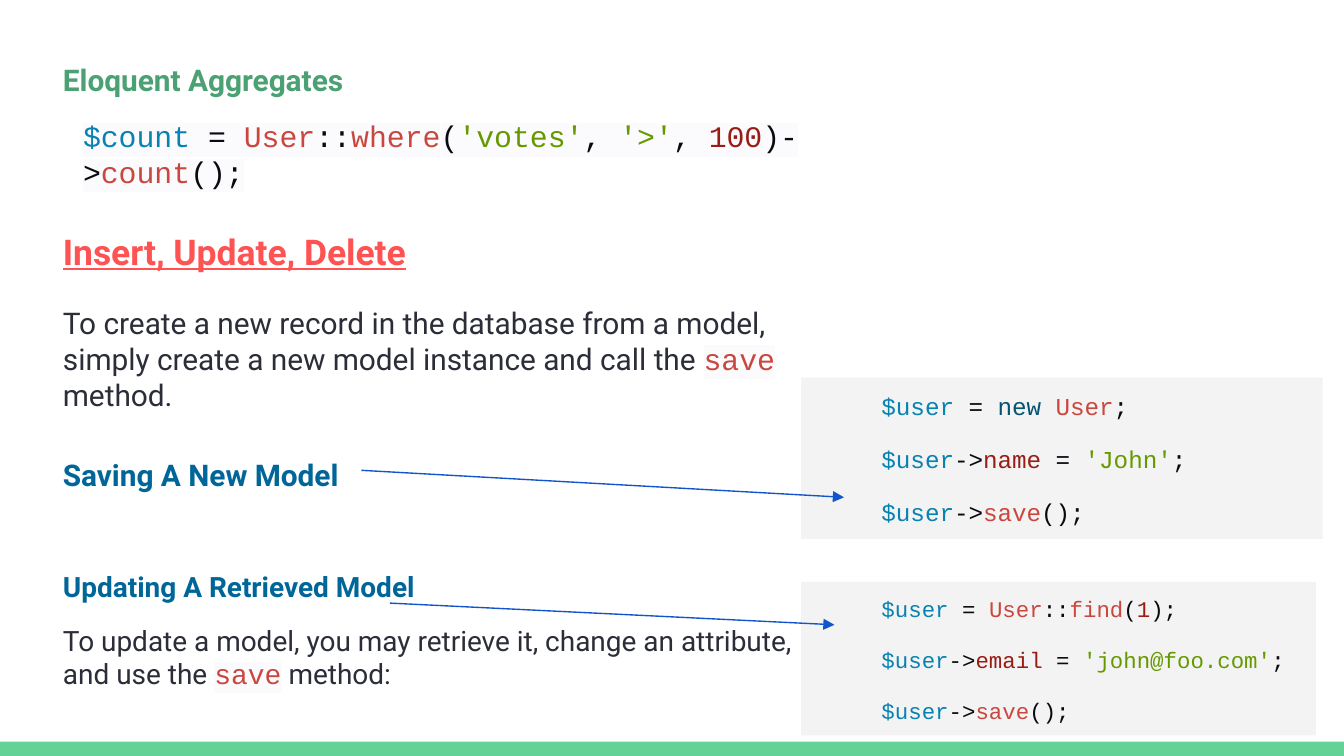
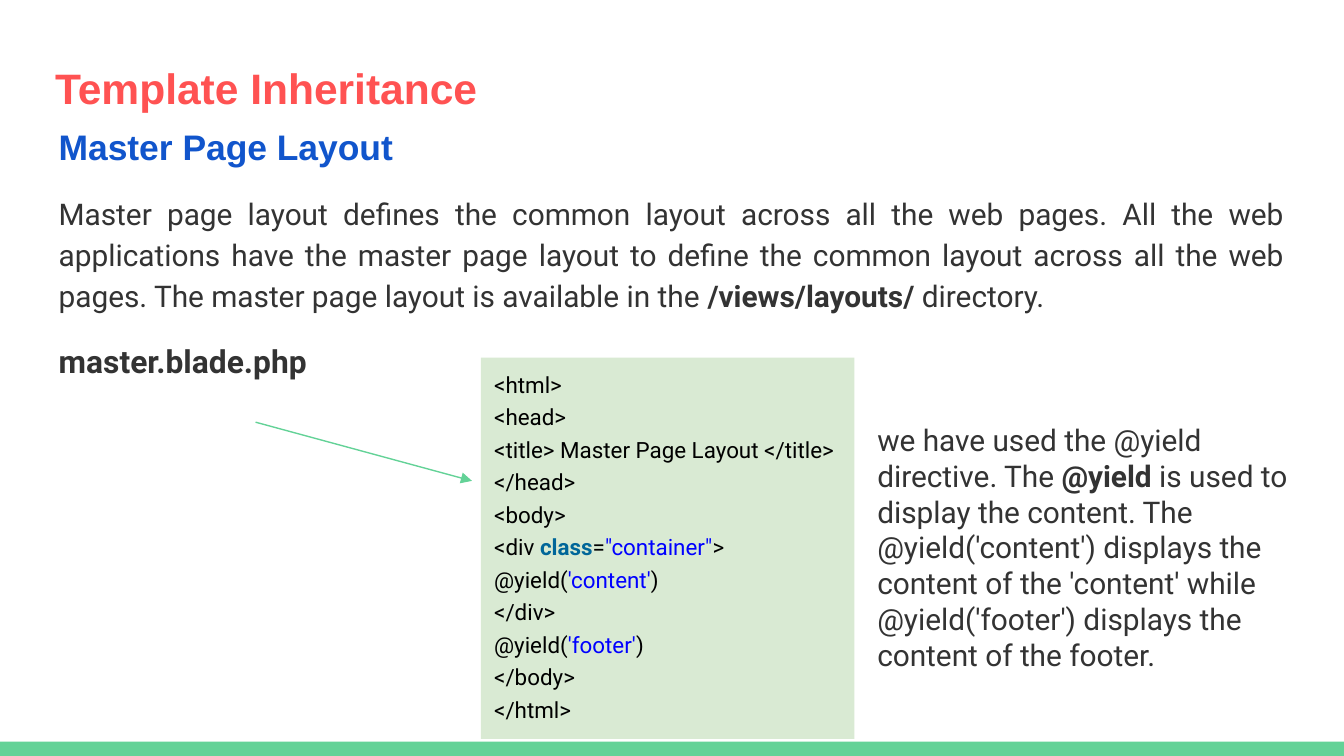
import pptx
import pptx.dml.color
import pptx.enum.shapes
import pptx.enum.text
import pptx.oxml.ns
import pptx.util
from lxml import etree

Cm, Pt = pptx.util.Cm, pptx.util.Pt
ALIGN = pptx.enum.text.PP_ALIGN
RECTANGLE = pptx.enum.shapes.MSO_SHAPE.RECTANGLE
qn = pptx.oxml.ns.qn

GREEN, CORAL, BLUE, TEAL = "63D297", "FF5252", "1155CC", "006699"
INK, GREY, BLACK, CODE_BACK = "2B2E38", "333333", "000000", "FBFBFD"
PANEL_GREY, PANEL_GREEN = "F3F3F3", "D9EAD3"

# Run styles for the code samples
PLAIN = {"color": "090910"}
VARIABLE = {"color": "0782B1"}
KEYWORD = {"color": "055472"}
CALL = {"color": "CA473F"}
STRING = {"color": "669900"}
VALUE = {"color": "981D15"}
HTML_STRING = {"color": "0000FF"}
INLINE_CODE = {"color": "CA473F", "font": "Courier New", "highlight": CODE_BACK}
BOLD = {"bold": True}


def rgb(hex_color):
    return pptx.dml.color.RGBColor.from_string(hex_color)


def write(frame, paragraphs, **defaults):
    """Fill a frame with (runs, style) paragraphs; run styles override paragraph styles."""
    frame.word_wrap = True
    frame.vertical_anchor = pptx.enum.text.MSO_ANCHOR.TOP
    frame.margin_left = frame.margin_right = Cm(0.25)
    frame.margin_top = frame.margin_bottom = Cm(0.25)
    for index, (runs, own_style) in enumerate(paragraphs):
        style = {**defaults, **own_style}
        paragraph = frame.paragraphs[0] if index == 0 else frame.add_paragraph()
        paragraph.alignment = style.get("align", ALIGN.LEFT)
        paragraph.line_spacing = style.get("line", 1.0)
        paragraph.space_before = Pt(style.get("before", 0) if index else 0)
        paragraph.space_after = Pt(0)
        if "indent" in style:
            paragraph._p.get_or_add_pPr().set("marL", str(Cm(style["indent"])))
        for text, run_style in runs:
            look = {**style, **run_style}
            run = paragraph.add_run()
            run.text = text
            run.font.size = Pt(look["size"])
            run.font.bold = look.get("bold", False)
            run.font.underline = look.get("underline", False)
            run.font.color.rgb = rgb(look["color"])
            run.font.name = look["font"]
            if "highlight" in look:
                highlight = etree.Element(qn("a:highlight"))
                etree.SubElement(highlight, qn("a:srgbClr"), val=look["highlight"])
                run._r.rPr.find(qn("a:solidFill")).addnext(highlight)


prs = pptx.Presentation()
prs.slide_width, prs.slide_height = Cm(25.4), Cm(14.29)
title_only, blank = prs.slide_layouts[5], prs.slide_layouts[6]
models = prs.slides.add_slide(blank)
templates = prs.slides.add_slide(title_only)

for slide in (models, templates):
    band = slide.shapes.add_shape(RECTANGLE, 0, Cm(14.02), prs.slide_width, Cm(0.27))
    band.shadow.inherit = False
    band.fill.solid()
    band.fill.fore_color.rgb = rgb(GREEN)
    band.line.fill.background()

# Slide 1: Eloquent models
lesson = models.shapes.add_textbox(Cm(0.94), Cm(0.91), Cm(14.73), Cm(12.67))
write(lesson.text_frame, [
    ([("Eloquent Aggregates", {})], {"color": "4BA173", "bold": True}),
    ([("$count", VARIABLE), (" = ", PLAIN), ("User", CALL), ("::", PLAIN),
      ("where", CALL), ("(", PLAIN), ("'votes'", STRING), (", ", PLAIN),
      ("'>'", STRING), (", ", PLAIN), ("100", VALUE), (")->", PLAIN),
      ("count", CALL), ("();", PLAIN)],
     {"font": "Courier New", "highlight": CODE_BACK, "indent": 0.38, "before": 11}),
    ([("Insert, Update, Delete", {})],
     {"size": 19, "color": CORAL, "bold": True, "underline": True, "before": 22}),
    ([("To create a new record in the database from a model, simply create "
       "a new model instance and call the ", {}),
      ("save", INLINE_CODE), (" method.", {})], {"before": 17}),
    ([("Saving A New Model", {})], {"color": TEAL, "bold": True, "before": 24}),
    ([("Updating A Retrieved Model", {})],
     {"size": 15, "color": TEAL, "bold": True, "before": 41}),
    ([("To update a model, you may retrieve it, change an attribute, "
       "and use the ", {}),
      ("save", INLINE_CODE), (" method:", {})], {"size": 15, "before": 11}),
], font="Roboto", size=16, color=INK)

save_call = [("$user", VARIABLE), ("->", PLAIN), ("save", CALL), ("();", PLAIN)]
update_code = [
    [("$user", VARIABLE), (" = ", PLAIN), ("User", CALL), ("::", PLAIN),
     ("find", CALL), ("(", PLAIN), ("1", VALUE), (");", PLAIN)],
    [("$user", VARIABLE), ("->", PLAIN), ("email", VALUE), (" = ", PLAIN),
     ("'john@foo.com'", STRING), (";", PLAIN)],
    save_call,
]
insert_code = [
    [("$user", VARIABLE), (" = ", PLAIN), ("new", KEYWORD), (" ", PLAIN),
     ("User", CALL), (";", PLAIN)],
    [("$user", VARIABLE), ("->", PLAIN), ("name", VALUE), (" = ", PLAIN),
     ("'John'", STRING), (";", PLAIN)],
    save_call,
]

# Slide 2: template inheritance
heading = templates.shapes.title
heading.left, heading.top, heading.width, heading.height = Cm(0.79), Cm(0.64), Cm(23.67), Cm(1.6)
write(heading.text_frame, [([("Template Inheritance", {})], {})],
      font="Arial", size=22.8, color=CORAL, bold=True, line=1.3, align=ALIGN.JUSTIFY)

layout_notes = templates.shapes.add_textbox(Cm(0.86), Cm(1.88), Cm(23.67), Cm(9.86))
write(layout_notes.text_frame, [
    ([("Master Page Layout", {})],
     {"font": "Arial", "size": 19, "color": BLUE, "bold": True, "line": 1.3}),
    ([("Master page layout defines the common layout across all the web pages. "
       "All the web applications have the master page layout to define the common "
       "layout across all the web pages. The master page layout is available in the ", {}),
      ("/views/layouts/", BOLD), (" directory.", {})], {"align": ALIGN.JUSTIFY}),
    ([("master.blade.php", BOLD)], {"size": 17}),
], font="Roboto", size=16, color=GREY, line=1.15, before=12)

master_code = [
    [("<html>", {})],
    [("<head>", {})],
    [("<title> Master Page Layout </title>", {})],
    [("</head>", {})],
    [("<body>", {})],
    [("<div ", {}), ("class", {"color": TEAL, "bold": True}), ("=", {}),
     ('"container"', HTML_STRING), (">", {})],
    [("@yield(", {}), ("'content'", HTML_STRING), (")", {})],
    [("</div>", {})],
    [("@yield(", {}), ("'footer'", HTML_STRING), (")", {})],
    [("</body>", {})],
    [("</html>", {})],
]

# Code panels on both slides
php = {"font": "Courier New", "color": BLACK, "indent": 1.27, "before": 12.8}
html = {"font": "Roboto", "color": BLACK, "size": 12, "before": 3}
for slide, box, back, code, style in (
    (models, (15.14, 11, 9.73, 2.9), PANEL_GREY, update_code, {**php, "size": 12}),
    (models, (15.14, 7.14, 9.86, 3.05), PANEL_GREY, insert_code, {**php, "size": 13}),
    (templates, (9.09, 6.76, 7.06, 7.21), PANEL_GREEN, master_code, html),
):
    panel = slide.shapes.add_shape(RECTANGLE, *map(Cm, box))
    panel.shadow.inherit = False
    panel.fill.solid()
    panel.fill.fore_color.rgb = rgb(back)
    panel.line.fill.background()
    write(panel.text_frame, [(line, {}) for line in code], **style)

# Arrows from each heading to its code
for slide, ends, color in (
    (models, (6.83, 8.89, 15.95, 9.4), BLUE),
    (models, (7.37, 11.4, 15.77, 11.81), BLUE),
    (templates, (4.83, 7.98, 8.92, 9.09), GREEN),
):
    arrow = slide.shapes.add_connector(
        pptx.enum.shapes.MSO_CONNECTOR.STRAIGHT, *map(Cm, ends))
    arrow.line.color.rgb = rgb(color)
    arrow.line.width = Pt(0.75)
    etree.SubElement(arrow.line._get_or_add_ln(), qn("a:tailEnd"), type="triangle")
    etree.SubElement(arrow._element.spPr, qn("a:effectLst"))

yield_notes = templates.shapes.add_textbox(Cm(16.33), Cm(7.72), Cm(8.89), Cm(5.31))
write(yield_notes.text_frame, [
    ([("we have used the @yield directive. The ", {}), ("@yield", BOLD),
      (" is used to display the content. The @yield('content') displays the content "
       "of the 'content' while @yield('footer') displays the content of the footer.", {})], {}),
], font="Roboto", size=16, color=GREY)

prs.save("out.pptx")
